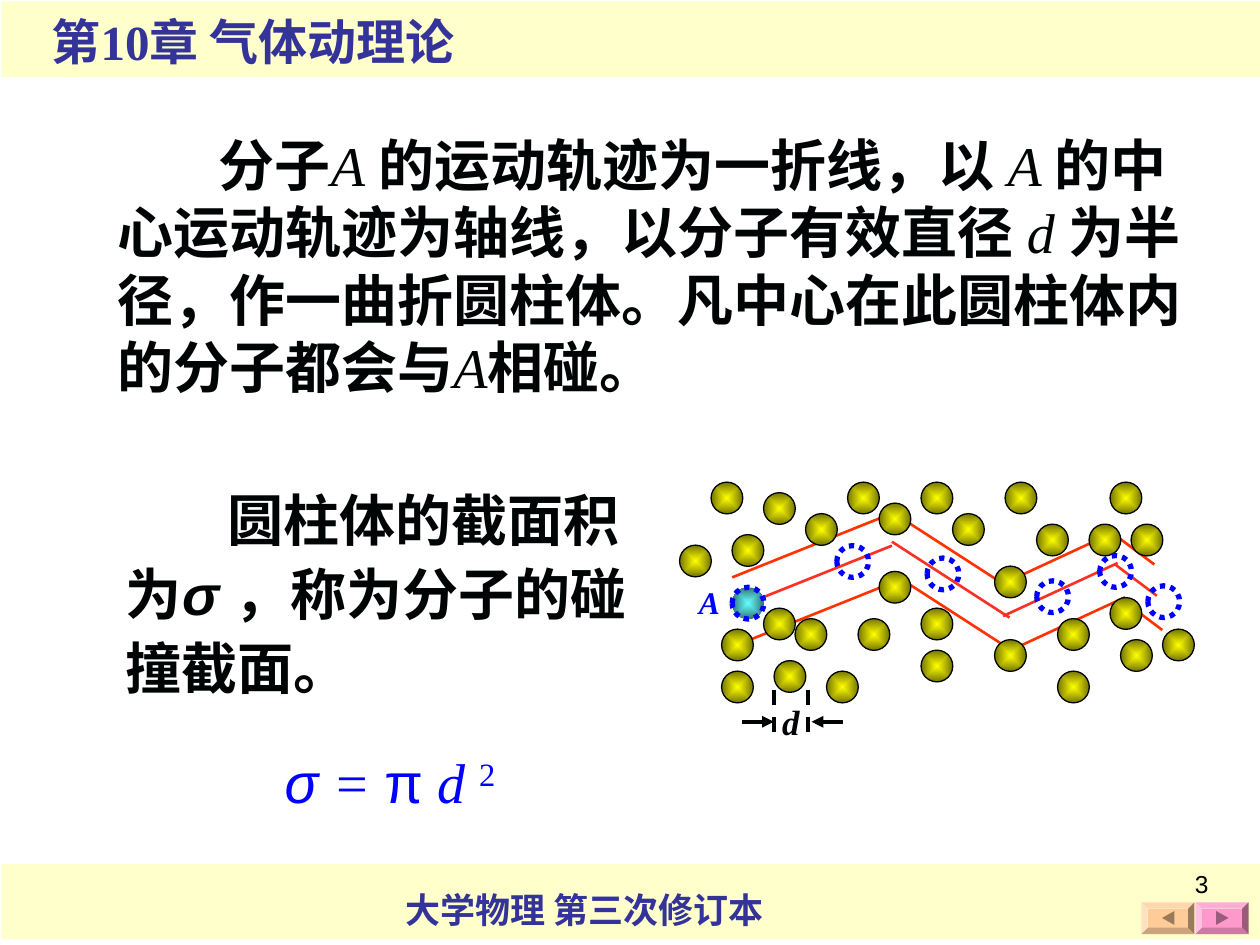
import pptx
import pptx.dml.color
import pptx.enum.dml
import pptx.enum.shapes
import pptx.enum.text
import pptx.oxml
import pptx.oxml.ns
import pptx.util
from pptx.util import Cm

COLORS = {
    "band": "FFFFCC", "heading": "333399", "ink": "000404", "black": "000000",
    "blue": "0000FF", "axis": "FB3223", "wall": "FF3300",
    "yellow": "FFFF00", "olive": "757500", "cyan": "66FFFF", "teal": "2F7575",
    "pink": "FF99CC", "plum": "995C7A", "peach": "FFCC99", "brown": "997A5C",
}
SHAPE = pptx.enum.shapes.MSO_SHAPE
DASH = pptx.enum.dml.MSO_LINE
SERIF = "Times New Roman"
SANS = "Arial"

BALL_SIZE = 0.64
GRID_STEP = 2.54 / 12
GRID_LEFT, GRID_TOP = 13.7, 9.72
BALL_ROWS = {
    0: (3, 16, 23, 31, 41), 1: (8,), 2: (19,), 3: (12, 26), 4: (34, 39, 43),
    5: (5,), 6: (0,), 8: (30,), 8.5: (19,), 11: (41,), 12: (8, 23),
    13: (11, 17, 36), 14: (4, 46), 15: (30, 42), 16: (23,), 17: (9,),
    18: (4, 14, 36),
}
LATER_POSITIONS = [(22.17, 11.2), (20.9, 11.71), (18.69, 11.25), (16.87, 11), (23.14, 11.81)]
PATH_SEGMENTS = [
    (14.81, 12.27, 17.98, 11, 0.15),
    (17.98, 10.92, 20.35, 12.45, 0.09),
    (20.22, 12.42, 22.53, 11.35, 0.15),
    (22.48, 11.38, 23.32, 12.01, 0.11),
]


def rgb(name):
    return pptx.dml.color.RGBColor.from_string(COLORS[name])


def add_xml(parent, tag, attributes=""):
    namespace = pptx.oxml.ns.nsdecls("a")
    element = pptx.oxml.parse_xml(f"<a:{tag} {namespace} {attributes}/>")
    parent.append(element)
    return element


def add_shape(slide, kind, left, top, width, height, fill=None):
    shape = slide.shapes.add_shape(kind, Cm(left), Cm(top), Cm(width), Cm(height))
    shape.shadow.inherit = False
    shape.line.fill.background()
    if fill:
        shape.fill.solid()
        shape.fill.fore_color.rgb = rgb(fill)
    else:
        shape.fill.background()
    return shape


def add_molecule(slide, left, top, outline, width, gradient=None, dash=None):
    molecule = add_shape(slide, SHAPE.OVAL, left, top, BALL_SIZE, BALL_SIZE)
    molecule.line.color.rgb = rgb(outline)
    molecule.line.width = pptx.util.Pt(width)
    if dash:
        molecule.line.dash_style = dash
    if gradient:
        molecule.fill.gradient()
        for stop, color in zip(molecule.fill.gradient_stops, gradient):
            stop.color.rgb = rgb(color)
        fill = molecule._element.spPr.find(pptx.oxml.ns.qn("a:gradFill"))
        fill.remove(fill.find(pptx.oxml.ns.qn("a:lin")))
        center = add_xml(fill, "path", 'path="rect"')
        add_xml(center, "fillToRect", 'l="50000" t="50000" r="50000" b="50000"')


def add_line(slide, start, end, color, width, dash=None, arrow=False):
    line = slide.shapes.add_connector(
        pptx.enum.shapes.MSO_CONNECTOR.STRAIGHT, *map(Cm, (*start, *end)))
    line.line.color.rgb = rgb(color)
    line.line.width = pptx.util.Pt(width)
    if dash:
        line.line.dash_style = dash
    if arrow:
        add_xml(line.line._get_or_add_ln(), "tailEnd", 'type="triangle"')
    add_xml(line._element.spPr, "effectLst")


def write_runs(shape, runs, size, color, spacing=None, indent=0, align="LEFT"):
    frame = shape.text_frame
    frame.word_wrap = True
    frame.vertical_anchor = pptx.enum.text.MSO_ANCHOR.TOP
    paragraph = frame.paragraphs[0]
    paragraph.alignment = getattr(pptx.enum.text.PP_ALIGN, align)
    if spacing:
        paragraph.line_spacing = spacing
    if indent:
        paragraph._p.get_or_add_pPr().set("indent", str(Cm(indent)))
    for text, font, style in runs:
        run = paragraph.add_run()
        run.text = text
        run.font.name = font
        run.font.size = pptx.util.Pt(size)
        run.font.color.rgb = rgb(color)
        run.font.bold = "b" in style
        run.font.italic = "i" in style
        if "^" in style:
            run._r.get_or_add_rPr().set("baseline", "30000")


def add_text(slide, left, top, width, height, runs, size, color, **layout):
    box = slide.shapes.add_textbox(Cm(left), Cm(top), Cm(width), Cm(height))
    write_runs(box, runs, size, color, **layout)


def add_button(slide, left, face, arrow_color, rotation):
    button = add_shape(slide, SHAPE.BEVEL, left, 18.19, 1.07, 0.64, face)
    button.adjustments[0] = 0.2
    arrow = add_shape(slide, SHAPE.ISOSCELES_TRIANGLE, left + 0.4, 18.38, 0.28, 0.25, arrow_color)
    arrow.rotation = rotation


def add_frame(slide):
    for top in (17.42, 0.03):
        add_shape(slide, SHAPE.RECTANGLE, 0.03, top, 25.37, 1.52, "band")
    title = slide.shapes.title
    title.left, title.top, title.width, title.height = Cm(0.79), Cm(0.1), Cm(9.86), Cm(1.45)
    write_runs(title, [("第10章 气体动理论", SERIF, "b")], 28, "heading")
    slide.shapes._spTree.append(title._element)
    add_text(slide, 7.92, 17.78, 7.92, 1.12,
             [("大学物理 第三次修订本", SERIF, "b")], 20, "heading")
    add_button(slide, 24.1, "pink", "plum", 90)
    add_button(slide, 23.01, "peach", "brown", 270)
    add_text(slide, 18.69, 17.4, 5.92, 1.32, [("3", SANS, "")], 14, "black", align="RIGHT")


def add_explanation(slide):
    add_text(slide, 2.29, 9.53, 11, 4.72, [
        ("圆柱体的截面积为", SERIF, "b"), ("σ ", SANS, "bi"),
        ("，称为分子的碰撞截面。", SERIF, "b"),
    ], 32, "ink", spacing=1.1, indent=2.05)
    add_text(slide, 5.49, 14.53, 5.69, 2.03, [
        ("σ", SANS, "i"), (" = ", SERIF, "i"), ("π", SANS, ""),
        (" d ", SERIF, "i"), ("2", SERIF, "^"),
    ], 32, "blue", spacing=1.3)
    add_text(slide, 2.11, 2.51, 22.2, 5.69, [
        ("分子", SERIF, "b"), ("A ", SERIF, "i"),
        ("的运动轨迹为一折线，以 ", SERIF, "b"), ("A ", SERIF, "i"),
        ("的中心运动轨迹为轴线，以分子有效直径 ", SERIF, "b"), ("d ", SERIF, "i"),
        ("为半径，作一曲折圆柱体。凡中心在此圆柱体内的分子都会与", SERIF, "b"),
        ("A", SERIF, "i"), ("相碰。", SERIF, "b"),
    ], 32, "ink", indent=2.05)


def add_collision_path(slide):
    for x1, y1, x2, y2, lower_shift in PATH_SEGMENTS:
        for dx, dy, color in ((0, 0, "axis"), (-0.05, -0.63, "wall"), (lower_shift, 0.69, "wall")):
            add_line(slide, (x1 + dx, y1 + dy), (x2 + dx, y2 + dy), color, 1.5)
    for row, columns in BALL_ROWS.items():
        for column in columns:
            add_molecule(slide, GRID_LEFT + column * GRID_STEP, GRID_TOP + row * GRID_STEP,
                         "ink", 0.75, ("yellow", "olive"))
    add_molecule(slide, 14.76, 11.84, "blue", 3, ("cyan", "teal"), DASH.ROUND_DOT)
    for left, top in LATER_POSITIONS:
        add_molecule(slide, left, top, "blue", 3, dash=DASH.ROUND_DOT)
    add_text(slide, 13.84, 11.63, 0.91, 1.02, [("A", SERIF, "bi")], 18, "blue")


def add_diameter_mark(slide):
    for x in (15.6, 16.28):
        add_line(slide, (x, 13.9), (x, 14.76), "ink", 2.25, dash=DASH.DASH)
    for start, end in ((14.96, 15.6), (16.99, 16.36)):
        add_line(slide, (start, 14.55), (end, 14.55), "ink", 2.25, arrow=True)
    add_text(slide, 15.52, 14, 0.86, 1.12, [("d", SERIF, "bi")], 20, "ink")


def main():
    presentation = pptx.Presentation()
    presentation.slide_width = Cm(25.4)
    presentation.slide_height = Cm(19.05)
    slide = presentation.slides.add_slide(presentation.slide_layouts[5])
    add_frame(slide)
    add_explanation(slide)
    add_collision_path(slide)
    add_diameter_mark(slide)
    presentation.save("out.pptx")


if __name__ == "__main__":
    main()
